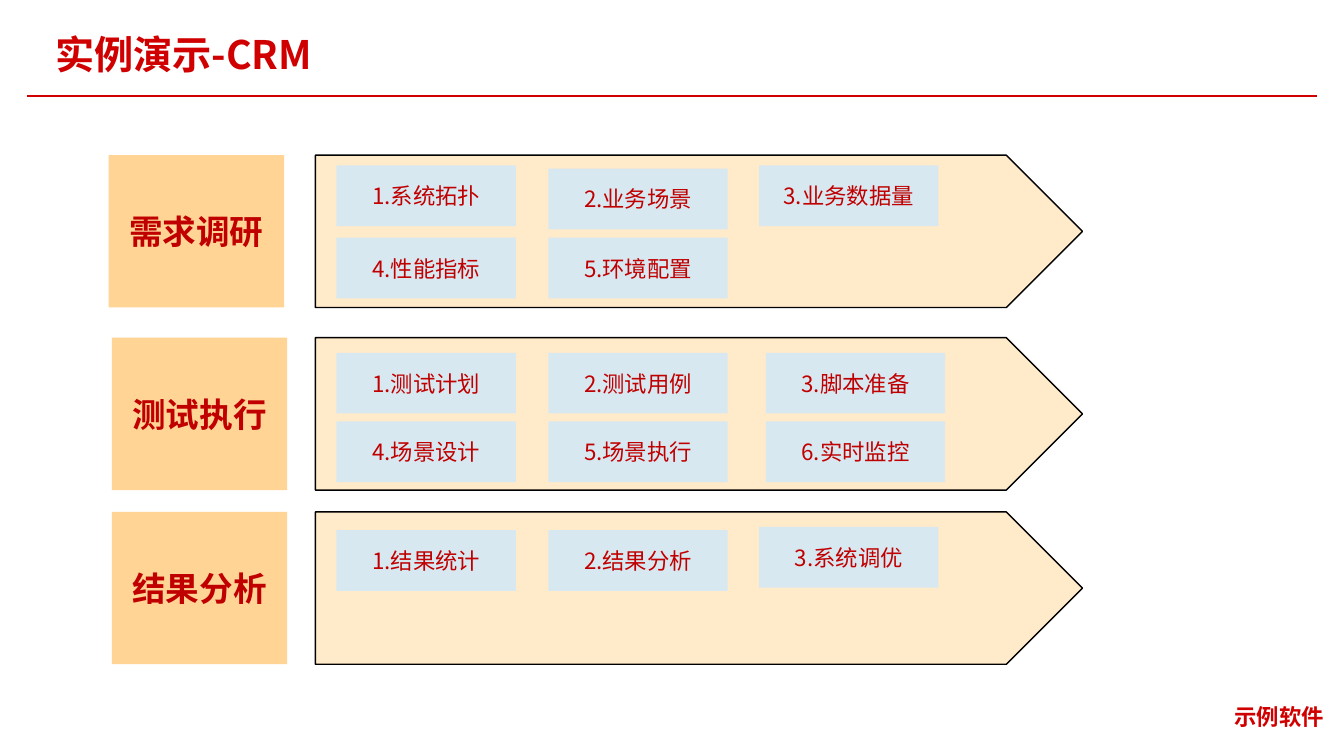
"""Build the CRM demonstration slide: three stages, each with its steps in an arrow."""
from lxml import etree
from pptx import Presentation
from pptx.dml.color import RGBColor
from pptx.enum import shapes, text
from pptx.oxml import ns
from pptx.util import Cm, Pt

TITLE = "实例演示-CRM"
FOOTER = "示例软件"
STAGES = [
    {"name": "需求调研", "left": 2.74, "top": 3.91,
     "cols": (8.48, 13.82, 19.13), "rows": (4.17, 5.99),
     "steps": ["系统拓扑", "业务场景", "业务数据量", "性能指标", "环境配置"]},
    {"name": "测试执行", "left": 2.82, "top": 8.51,
     "cols": (8.48, 13.82, 19.3), "rows": (8.89, 10.62),
     "steps": ["测试计划", "测试用例", "脚本准备", "场景设计", "场景执行", "实时监控"]},
    {"name": "结果分析", "left": 2.82, "top": 12.9,
     "cols": (8.48, 13.82, 19.13), "rows": (13.36,),
     "steps": ["结果统计", "结果分析", "系统调优"]},
]
NUDGES = {"业务场景": 0.08, "系统调优": -0.08}

FONT = "Noto Sans CJK SC"
RED = RGBColor(0xD0, 0x00, 0x00)
DARK_RED = RGBColor(0xC0, 0x00, 0x00)
ORANGE = RGBColor(0xFF, 0xD4, 0x95)
CREAM = RGBColor(0xFF, 0xEA, 0xCA)
PALE_BLUE = RGBColor(0xD8, 0xE8, 0xF1)
BLACK = RGBColor(0x00, 0x00, 0x00)

STAGE_H = 3.84
LABEL_W = 4.42
ARROW_LEFT, ARROW_W = 7.95, 19.33
STEP_W, STEP_H = 4.52, 1.53

HEADING = {"size": Pt(28), "bold": True}
BRAND = {"size": Pt(16), "bold": True}
LABEL = {"size": Pt(24), "bold": True}
STEP = {"size": Pt(16), "bold": False}


def write(sp, words, style, color):
    p = sp.text_frame.paragraphs[0]
    r = p.add_run()
    r.text = words
    for name, value in {"name": FONT, **style}.items():
        setattr(r.font, name, value)
    r.font.color.rgb = color
    etree.SubElement(r.font._element, ns.qn("a:ea"), typeface=FONT)
    return p


def add_text(s, box, words, style):
    sp = s.shapes.add_textbox(*map(Cm, box))
    sp.text_frame.word_wrap = False
    write(sp, words, style, RED)


def add_block(s, kind, box, fill):
    sp = s.shapes.add_shape(kind, *map(Cm, box))
    sp.shadow.inherit = False
    sp.fill.solid()
    sp.fill.fore_color.rgb = fill
    sp.line.fill.background()
    return sp


def add_card(s, box, fill, words, style):
    sp = add_block(s, shapes.MSO_SHAPE.RECTANGLE, box, fill)
    sp.text_frame.vertical_anchor = text.MSO_ANCHOR.MIDDLE
    write(sp, words, style, DARK_RED).alignment = text.PP_ALIGN.CENTER


def add_stage(s, stage):
    top, cols = stage["top"], stage["cols"]
    add_card(s, (stage["left"], top, LABEL_W, STAGE_H), ORANGE, stage["name"], LABEL)
    arrow = add_block(s, shapes.MSO_SHAPE.PENTAGON,
                      (ARROW_LEFT, top, ARROW_W, STAGE_H), CREAM)
    arrow.line.color.rgb = BLACK
    arrow.line.width = Pt(1)
    for i, step in enumerate(stage["steps"]):
        row, col = divmod(i, len(cols))
        y = stage["rows"][row] + NUDGES.get(step, 0)
        add_card(s, (cols[col], y, STEP_W, STEP_H), PALE_BLUE, f"{i + 1}.{step}", STEP)


def main():
    prs = Presentation()
    prs.slide_width, prs.slide_height = Cm(33.87), Cm(19.05)
    s = prs.slides.add_slide(prs.slide_layouts[6])
    add_text(s, (30.86, 17.6, 2.79, 0.94), FOOTER, BRAND)
    add_text(s, (1.14, 0.64, 7.34, 1.45), TITLE, HEADING)
    rule = s.shapes.add_connector(shapes.MSO_CONNECTOR.STRAIGHT,
                                  Cm(0.69), Cm(2.43), Cm(33.2), Cm(2.43))
    rule.line.color.rgb = RED
    rule.line.width = Pt(1.5)
    etree.SubElement(rule._element.spPr, ns.qn("a:effectLst"))
    for stage in STAGES:
        add_stage(s, stage)
    prs.save("out.pptx")


if __name__ == "__main__":
    main()
